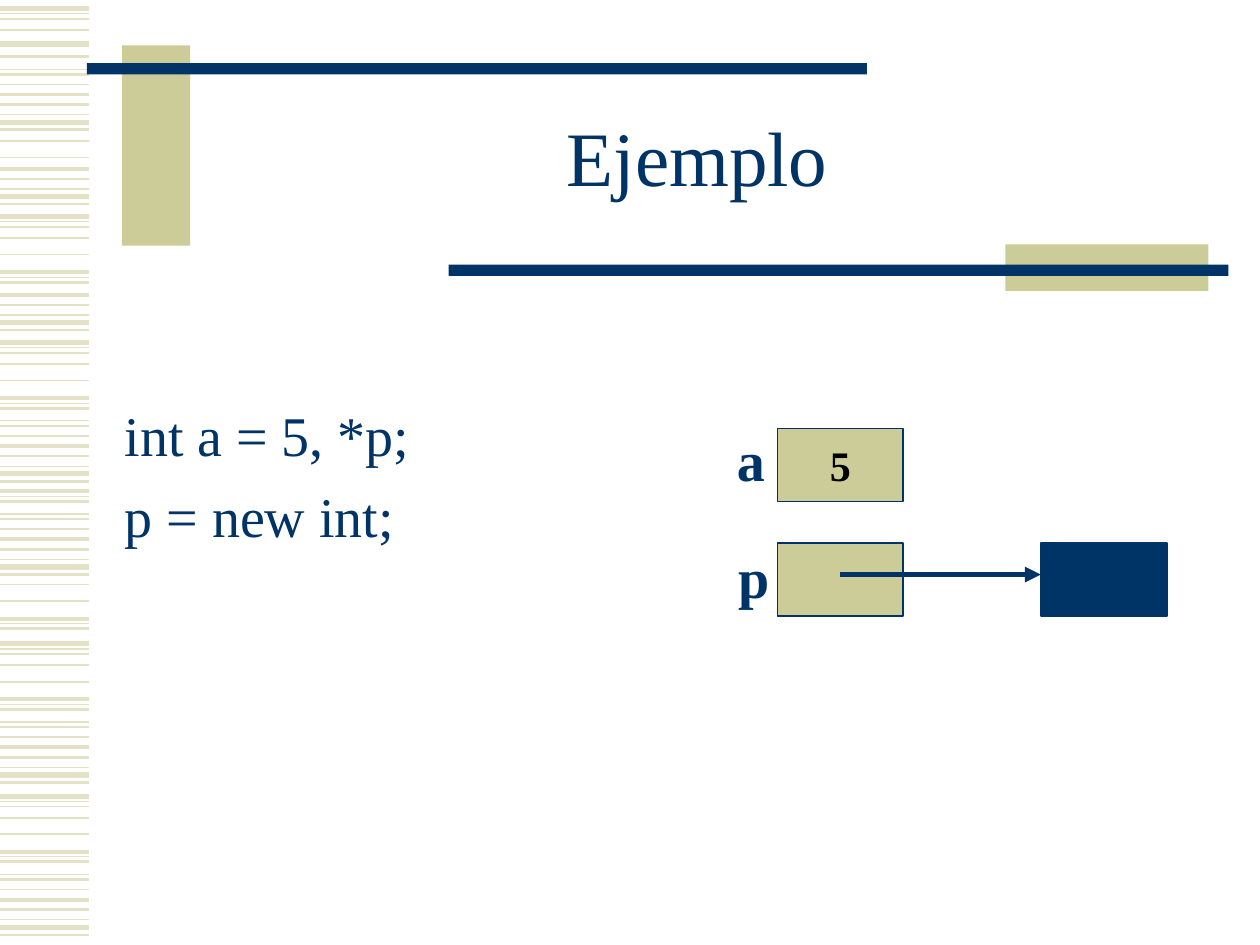
from lxml import etree
from pptx import Presentation
from pptx.dml.color import RGBColor
from pptx.enum.shapes import MSO_CONNECTOR, MSO_SHAPE
from pptx.enum.text import MSO_ANCHOR, PP_ALIGN
from pptx.oxml.ns import qn
from pptx.util import Emu, Pt

SCALE = 9144  # EMU per px, 100 px to the inch
FONT = "Times New Roman"
COLORS = {"navy": "003366", "khaki": "CCCC99", "stripe": "E3E2C7", "black": "000000"}

# One full band of margin stripes: (offset in px, width in points)
BAND = [(0, 3), (4, 0.75), (8, 1), (17, 1), (30, 1), (44, 2.25), (48, 0.75), (52, 1.5),
        (62, 0.75), (66, 1.5), (74, 1), (82, 2.25), (90, 1.5), (98, 0.75), (104, 3), (110, 1.5)]
# Where bands repeat down the margin: (base in px, first stripe, end stripe)
BANDS = [(7, 0, 4), (35, 0, 1), (-7, 7, 16), (95, 3, 5), (52, 11, 16), (172, 0, 8),
         (152, 11, 16), (272, 0, 16), (346, 5, 16), (447, 3, 8), (511, 0, 16), (632, 0, 16)]


def px(value):
    return Emu(value * SCALE)


def color(name):
    return RGBColor.from_string(COLORS[name])


def add_line(page, start, end, tint, width, arrow=False):
    line = page.shapes.add_connector(MSO_CONNECTOR.STRAIGHT, *map(px, start + end))
    line.line.color.rgb = color(tint)
    line.line.width = Pt(width)
    properties = line._element.spPr
    if arrow:
        etree.SubElement(properties.find(qn("a:ln")), qn("a:tailEnd"), type="triangle")
    etree.SubElement(properties, qn("a:effectLst"))


def add_rectangle(page, left, top, width, height, fill, outline=None):
    box = page.shapes.add_shape(MSO_SHAPE.RECTANGLE, *map(px, (left, top, width, height)))
    box.shadow.inherit = False
    box.fill.solid()
    box.fill.fore_color.rgb = color(fill)
    if outline:
        box.line.color.rgb = color(outline)
        box.line.width = Pt(1)
    else:
        box.line.fill.background()
    return box


def write_text(box, *lines, size=32, tint="navy", bold=False, align=PP_ALIGN.LEFT,
               anchor=MSO_ANCHOR.TOP, wrap=True, inset_top=5, gap=0, spacing=None):
    frame = box.text_frame
    frame.word_wrap = wrap
    frame.vertical_anchor = anchor
    frame.margin_left = frame.margin_right = px(10)
    frame.margin_top, frame.margin_bottom = px(inset_top), px(5)
    for index, line in enumerate(lines):
        para = frame.add_paragraph() if index else frame.paragraphs[0]
        para.alignment = align
        if index:
            para.space_before = Pt(gap)
        if spacing:
            para.line_spacing = spacing
        span = para.add_run()
        span.text = line
        span.font.name = FONT
        span.font.size = Pt(size)
        span.font.bold = bold
        span.font.color.rgb = color(tint)


def add_text(page, left, top, width, height, *lines, **style):
    box = page.shapes.add_textbox(*map(px, (left, top, width, height)))
    write_text(box, *lines, **style)


def add_margin_stripes(page):
    for base, first, end in BANDS:
        for offset, width in BAND[first:end]:
            y = base + offset
            add_line(page, (0, y), (71, y), "stripe", width)


def add_title_frame(page):
    add_rectangle(page, 97, 36, 54, 159, "khaki")
    add_rectangle(page, 69, 50, 619, 9, "navy")
    add_rectangle(page, 798, 194, 161, 37, "khaki")
    add_rectangle(page, 356, 210, 619, 9, "navy")


def add_memory_diagram(page):
    cell = (100, 58)
    value = add_rectangle(page, 617, 340, *cell, "khaki", "navy")
    write_text(value, "5", size=24, tint="black", bold=True, wrap=False,
               align=PP_ALIGN.CENTER, anchor=MSO_ANCHOR.MIDDLE)
    add_rectangle(page, 617, 431, *cell, "khaki", "navy")
    add_rectangle(page, 826, 431, *cell, "navy", "navy")
    add_text(page, 575, 333, 42, 64, "a", bold=True, wrap=False)
    add_text(page, 576, 426, 45, 64, "p", bold=True, wrap=False)
    add_line(page, (667, 456), (826, 456), "navy", 3, arrow=True)


def main():
    deck = Presentation()
    deck.slide_width, deck.slide_height = px(1000), px(750)
    page = deck.slides.add_slide(deck.slide_layouts[6])

    # Background decoration
    add_margin_stripes(page)
    add_title_frame(page)

    # Title and code
    add_text(page, 150, 67, 807, 125, "Ejemplo", size=44, spacing=0.85,
             align=PP_ALIGN.CENTER, anchor=MSO_ANCHOR.MIDDLE)
    add_text(page, 89, 242, 870, 424, "int a = 5, *p;", "p = new int;", inset_top=76, gap=8)

    # Variables and the memory pointed to
    add_memory_diagram(page)
    deck.save("out.pptx")


if __name__ == "__main__":
    main()
